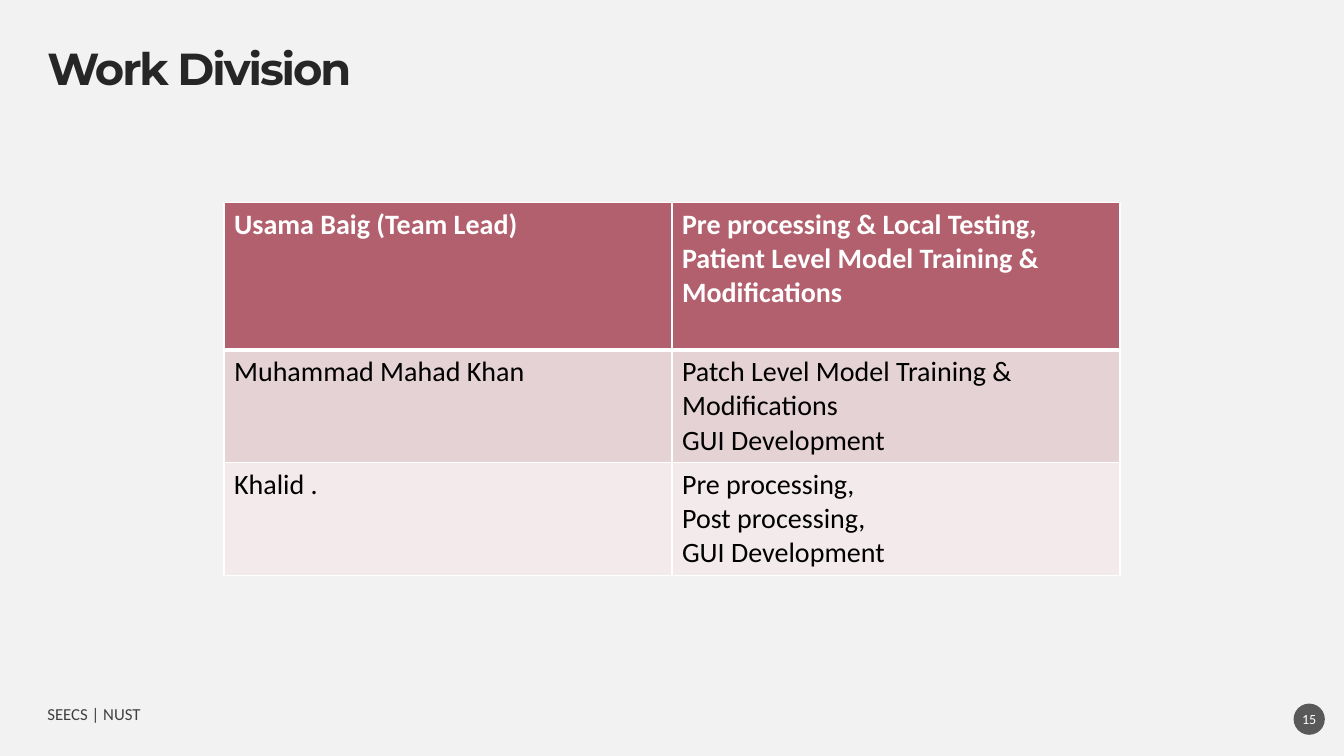
import pptx
import pptx.util
import pptx.dml.color
import pptx.enum.shapes
import pptx.enum.text
import pptx.oxml
import pptx.oxml.ns

Inches, Pt = pptx.util.Inches, pptx.util.Pt
RGB = pptx.dml.color.RGBColor.from_string
ALIGN = pptx.enum.text.PP_ALIGN

THEME = {
    "background": "F2F2F2", "title": "262626", "footer": "404040", "badge": "595959",
    "white": "FFFFFF", "black": "000000",
    "row fills": ["B2606E", "E4D2D5", "F2EAEB"],
    "heading font": "Montserrat", "body font": "Calibri",
    "title size": 32, "table size": 20, "footer size": 12, "badge size": 10,
}
WIDTH, HEIGHT = 13.33, 7.5
MARGIN = 0.47


def write(frame, lines, size, color, font="body font", bold=False, align=ALIGN.LEFT):
    """Fill a text frame with one paragraph per line."""
    frame.word_wrap = True
    for index, line in enumerate(lines):
        paragraph = frame.paragraphs[0] if index == 0 else frame.add_paragraph()
        paragraph.text = line
        paragraph.alignment = align
        paragraph.font.name = THEME[font]
        paragraph.font.size = Pt(THEME[size])
        paragraph.font.bold = bold
        paragraph.font.color.rgb = RGB(THEME[color])


def center_without_insets(frame):
    frame.margin_left = frame.margin_right = frame.margin_top = frame.margin_bottom = 0
    frame.vertical_anchor = pptx.enum.text.MSO_ANCHOR.MIDDLE


deck = pptx.Presentation()
deck.slide_width, deck.slide_height = Inches(WIDTH), Inches(HEIGHT)
slide = deck.slides.add_slide(deck.slide_layouts[6])
slide.background.fill.solid()
slide.background.fill.fore_color.rgb = RGB(THEME["background"])

# Title, with tightened letters
title = slide.shapes.add_textbox(
    Inches(MARGIN), Inches(MARGIN), Inches(WIDTH - 2 * MARGIN), Inches(0.47)).text_frame
center_without_insets(title)
write(title, ["Work Division"], "title size", "title", "heading font", bold=True)
title.paragraphs[0].line_spacing = 0.9
title.paragraphs[0].runs[0].font._element.set("spc", "-150")

# Footer
footer = slide.shapes.add_textbox(
    Inches(MARGIN), Inches(6.96), Inches(4.5), Inches(0.25)).text_frame
center_without_insets(footer)
write(footer, ["SEECS | NUST"], "footer size", "footer")

# Page number badge
badge = slide.shapes.add_shape(
    pptx.enum.shapes.MSO_SHAPE.OVAL, Inches(12.83), Inches(6.98), Inches(0.31), Inches(0.31))
badge.shadow.inherit = False
badge.fill.solid()
badge.fill.fore_color.rgb = RGB(THEME["badge"])
badge.line.fill.background()
center_without_insets(badge.text_frame)
write(badge.text_frame, ["15"], "badge size", "white", align=ALIGN.CENTER)

# Work table: member and tasks, centred across the slide
division = [
    (["Usama Baig (Team Lead)"],
     ["Pre processing & Local Testing,", "Patient Level Model Training & Modifications"]),
    (["Muhammad Mahad Khan"],
     ["Patch Level Model Training & Modifications", "GUI Development"]),
    (["Khalid ."],
     ["Pre processing,", "Post processing,", "GUI Development"]),
]
row_heights = [1.46, 1.12, 1.12]
table_width = WIDTH * 2 / 3
work = slide.shapes.add_table(
    len(division), 2, Inches(WIDTH / 6), Inches(2.01),
    Inches(table_width), Inches(sum(row_heights))).table
work.first_row = work.horz_banding = False
for column in work.columns:
    column.width = Inches(table_width / 2)

for row, member in enumerate(division):
    work.rows[row].height = Inches(row_heights[row])
    is_lead = row == 0
    for column, lines in enumerate(member):
        cell = work.cell(row, column)
        write(cell.text_frame, lines, "table size", "white" if is_lead else "black", bold=is_lead)
        # White rules, heavier between the lead and the others
        borders = {"lnL": 1, "lnR": 1, "lnT": 3 if row == 1 else 1, "lnB": 3 if is_lead else 1}
        for side, points in borders.items():
            cell._tc.get_or_add_tcPr().append(pptx.oxml.parse_xml(
                f'<a:{side} {pptx.oxml.ns.nsdecls("a")} w="{Pt(points)}"><a:solidFill>'
                f'<a:srgbClr val="{THEME["white"]}"/></a:solidFill></a:{side}>'))
        cell.fill.solid()
        cell.fill.fore_color.rgb = RGB(THEME["row fills"][row])

deck.save("out.pptx")
